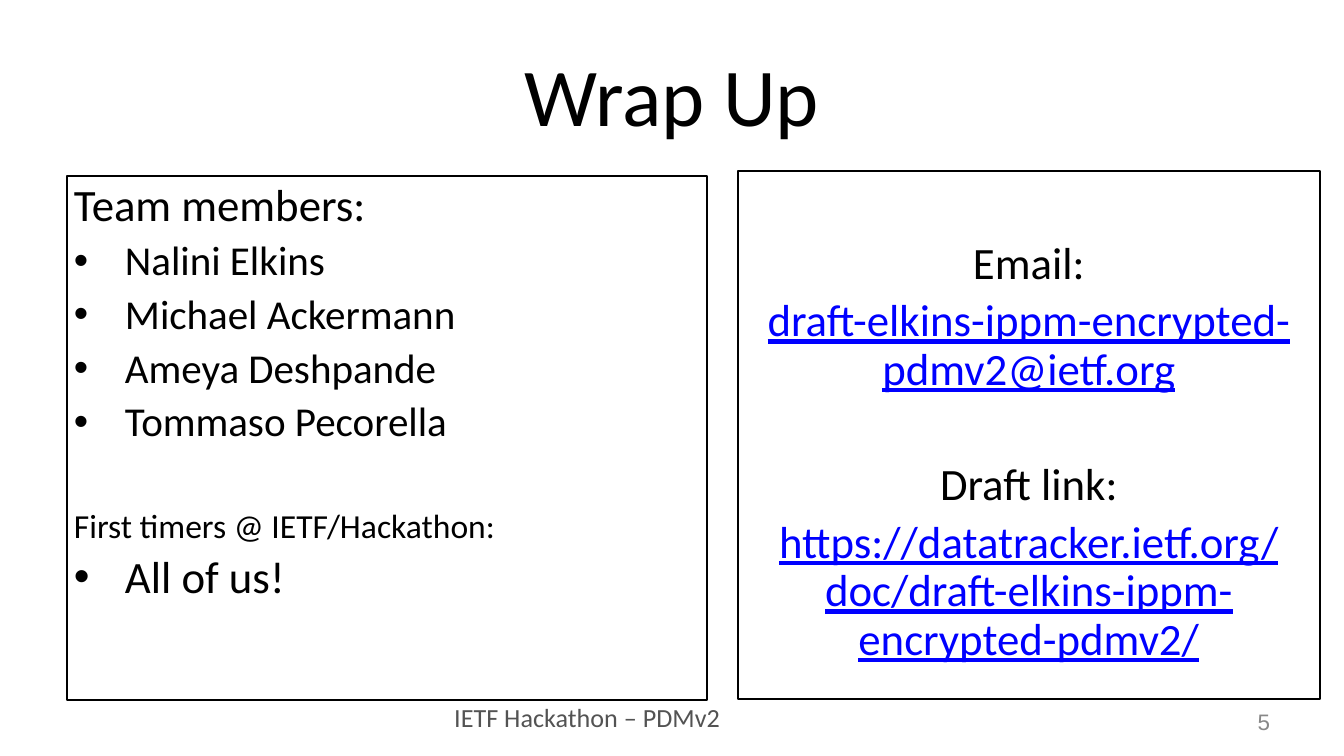
from dataclasses import dataclass

from lxml import etree
from pptx import Presentation
from pptx.dml.color import RGBColor
from pptx.enum.shapes import MSO_SHAPE
from pptx.enum.text import MSO_ANCHOR, MSO_AUTO_SIZE, PP_ALIGN
from pptx.oxml.ns import qn
from pptx.util import Inches, Pt

RECTANGLE = MSO_SHAPE.RECTANGLE
TOP, MIDDLE = MSO_ANCHOR.TOP, MSO_ANCHOR.MIDDLE
LEFT, CENTER, RIGHT = PP_ALIGN.LEFT, PP_ALIGN.CENTER, PP_ALIGN.RIGHT
NO_AUTOFIT = MSO_AUTO_SIZE.NONE


@dataclass(frozen=True)
class Theme:
    font: str = "Calibri"
    number_font: str = "Arial"
    ink: RGBColor = RGBColor(0x00, 0x00, 0x00)
    link: RGBColor = RGBColor(0x00, 0x00, 0xFF)
    footer: RGBColor = RGBColor(0x53, 0x53, 0x53)
    number: RGBColor = RGBColor(0x88, 0x88, 0x88)
    title_size: int = 44
    heading_size: int = 24
    member_size: int = 22
    note_size: int = 18
    footer_size: int = 14
    number_size: int = 12
    paragraph_gap: int = 5
    line_spacing: float = 0.9
    bullet_indent: float = 0.38
    inset: float = 0.05


@dataclass(frozen=True)
class Line:
    text: str
    size: int
    bullet: bool = False
    link: bool = False
    extra_gap: int = 0


class SlideBuilder:
    def __init__(self, slide, theme):
        self.slide = slide
        self.theme = theme

    def place(self, shape, left, top, width, height):
        shape.left, shape.top = Inches(left), Inches(top)
        shape.width, shape.height = Inches(width), Inches(height)

    def frame(self, shape, anchor=TOP, wrap=True, top_inset=None):
        frame = shape.text_frame
        inset = self.theme.inset
        frame.margin_left = frame.margin_right = frame.margin_bottom = Inches(inset)
        frame.margin_top = Inches(inset if top_inset is None else top_inset)
        frame.auto_size = NO_AUTOFIT
        frame.word_wrap = wrap
        frame.vertical_anchor = anchor
        return frame

    def style(self, paragraph, size, color, font=None, align=LEFT, underline=False):
        paragraph.alignment = align
        for run in paragraph.runs:
            run.font.name = font or self.theme.font
            run.font.size = Pt(size)
            run.font.color.rgb = color
            run.font.underline = underline

    def bullet(self, paragraph, shown):
        properties = paragraph._p.get_or_add_pPr()
        indent = Inches(self.theme.bullet_indent) if shown else 0
        properties.set("marL", str(indent))
        properties.set("indent", str(-indent))
        if shown:
            etree.SubElement(properties, qn("a:buFont")).set("typeface", "Arial")
            etree.SubElement(properties, qn("a:buChar")).set("char", "•")
        else:
            etree.SubElement(properties, qn("a:buNone"))

    def title(self, text, *box):
        title = self.slide.shapes.title
        self.place(title, *box)
        frame = self.frame(title, MIDDLE)
        frame.text = text
        self.style(frame.paragraphs[0], self.theme.title_size, self.theme.ink, align=CENTER)

    def panel(self, panel, lines, align, top_inset=None):
        theme = self.theme
        panel.fill.background()
        panel.line.color.rgb = theme.ink
        panel.line.width = Pt(1)
        frame = self.frame(panel, top_inset=top_inset)
        frame.text = "\n".join(line.text for line in lines)
        for paragraph, line in zip(frame.paragraphs, lines):
            color = theme.link if line.link else theme.ink
            self.style(paragraph, line.size, color, align=align, underline=line.link)
            paragraph.line_spacing = theme.line_spacing
            paragraph.space_before = Pt(theme.paragraph_gap + line.extra_gap)
            self.bullet(paragraph, line.bullet)

    def body(self, lines, *box):
        body = self.slide.placeholders[1]
        self.place(body, *box)
        self.panel(body, lines, LEFT)

    def contact_box(self, lines, top_inset, *box):
        contact = self.slide.shapes.add_shape(RECTANGLE, *map(Inches, box))
        contact.shadow.inherit = False
        self.panel(contact, lines, CENTER, top_inset)

    def label(self, text, size, color, *box, font=None, align=LEFT, anchor=TOP):
        label = self.slide.shapes.add_textbox(*map(Inches, box))
        frame = self.frame(label, anchor, wrap=False)
        frame.text = text
        self.style(frame.paragraphs[0], size, color, font, align)


def main():
    theme = Theme()
    deck = Presentation()
    deck.slide_width = Inches(10)
    deck.slide_height = deck.slide_width * 9 // 16
    builder = SlideBuilder(deck.slides.add_slide(deck.slide_layouts[1]), theme)

    members = ["Nalini Elkins", "Michael Ackermann", "Ameya Deshpande", "Tommaso Pecorella"]
    team = [
        Line("Team members:", theme.heading_size),
        *(Line(member, theme.member_size, bullet=True) for member in members),
        Line("First timers @ IETF/Hackathon:", theme.note_size, extra_gap=29),
        Line("All of us!", theme.heading_size, bullet=True),
    ]
    contacts = [
        Line("Email:", theme.heading_size),
        Line("draft-elkins-ippm-encrypted-pdmv2@ietf.org", theme.heading_size, link=True),
        Line("Draft link:", theme.heading_size, extra_gap=31),
        Line(
            "https://datatracker.ietf.org/doc/draft-elkins-ippm-encrypted-pdmv2/",
            theme.heading_size,
            link=True,
        ),
    ]

    builder.label("IETF Hackathon – PDMv2", theme.footer_size, theme.footer, 3.33, 5.17, 2.1, 0.34)
    builder.title("Wrap Up", 0.5, 0.23, 9, 0.94)
    builder.body(team, 0.5, 1.31, 4.76, 3.9)
    builder.label(
        "5", theme.number_size, theme.number, 9.3, 5.22, 0.2, 0.29,
        font=theme.number_font, align=RIGHT, anchor=MIDDLE,
    )
    builder.contact_box(contacts, 0.52, 5.49, 1.27, 4.33, 3.93)
    deck.save("out.pptx")


if __name__ == "__main__":
    main()
